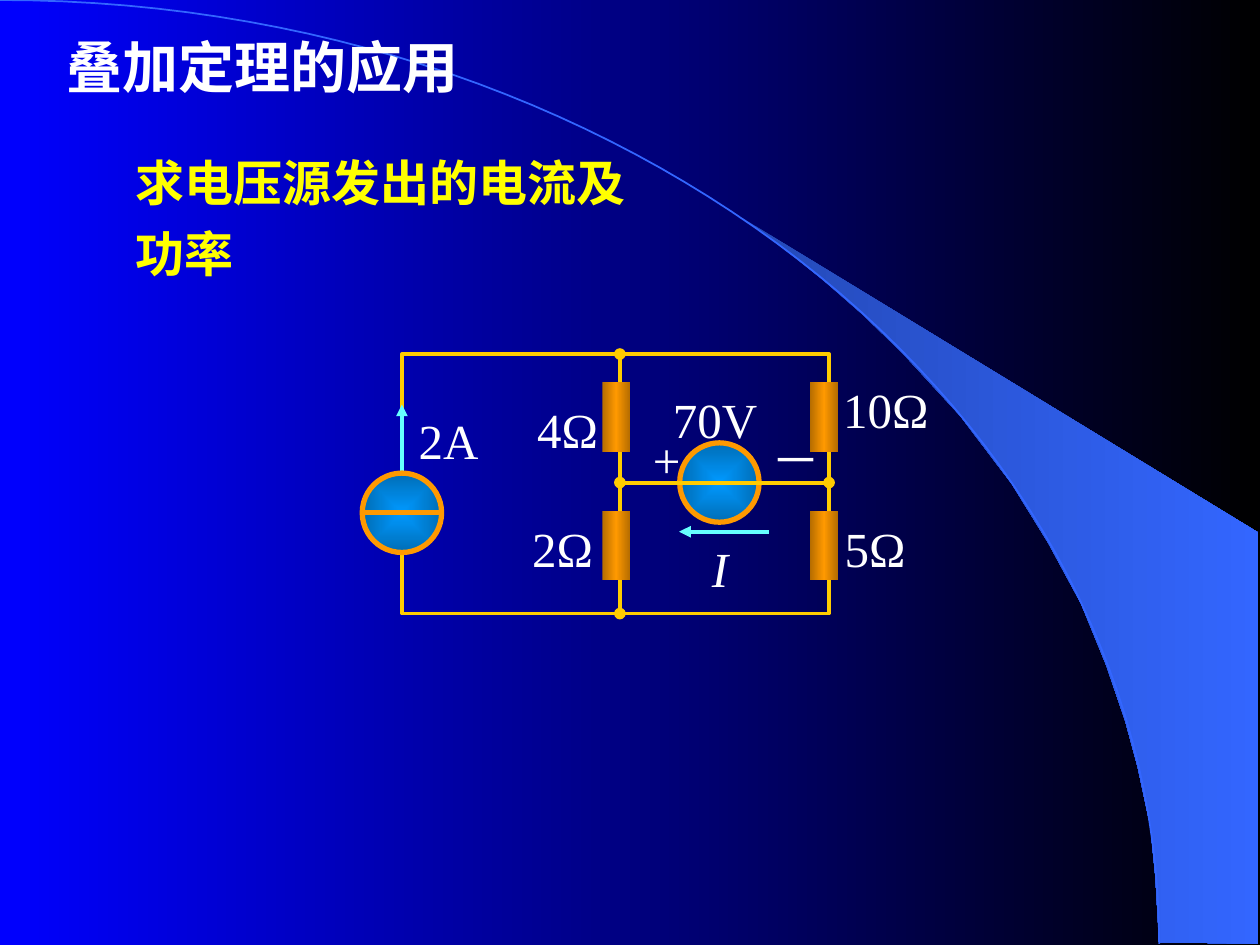
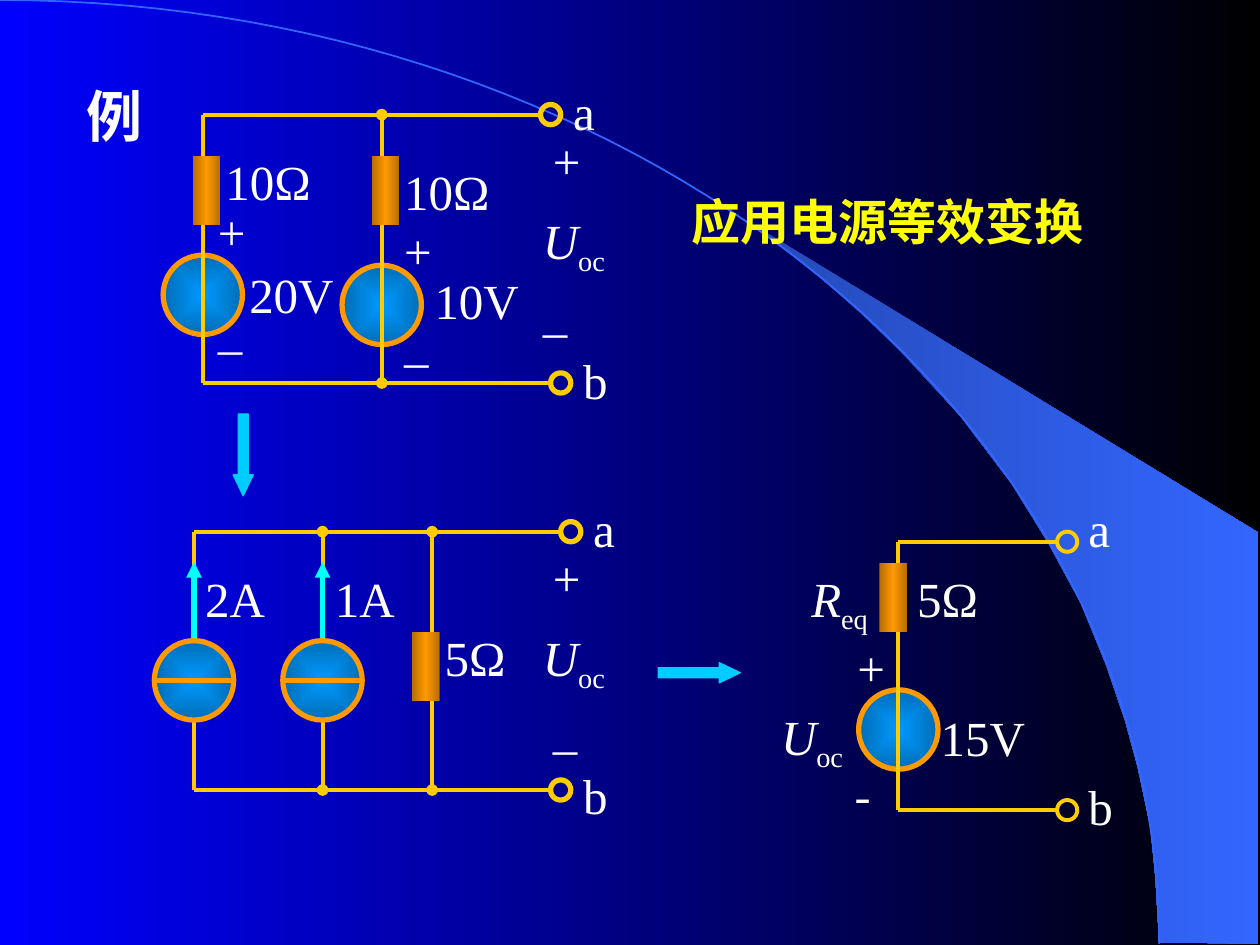
"""Build two slides with circuit diagrams on superposition and source conversion."""
from dataclasses import dataclass

from lxml import etree
from pptx import Presentation
from pptx.dml.color import RGBColor
from pptx.enum.shapes import MSO_CONNECTOR, MSO_SHAPE
from pptx.enum.text import MSO_ANCHOR, PP_ALIGN
from pptx.oxml.ns import nsdecls, qn
from pptx.oxml import parse_xml
from pptx.slide import Slide
from pptx.util import Inches, Pt

STRAIGHT = MSO_CONNECTOR.STRAIGHT
OVAL, RECT, ARROW = MSO_SHAPE.OVAL, MSO_SHAPE.RECTANGLE, MSO_SHAPE.RIGHT_ARROW
LEFT, CENTER = PP_ALIGN.LEFT, PP_ALIGN.CENTER
TOP, MIDDLE = MSO_ANCHOR.TOP, MSO_ANCHOR.MIDDLE
SERIF, SANS, CJK = "Times New Roman", "Arial", "Noto Sans CJK SC"
LABEL_H = 0.57

COLORS = {
    "bg_start": "0000FF", "bg_end": "000000",
    "fan_start": "2449B6", "fan_end": "3366FF",
    "white": "FFFFFF", "yellow": "FFFF00",
    "wire": "FFCC00", "rim": "FF9900", "rust": "B66D00",
    "core": "0099FF", "edge": "006DB6",
    "pale_cyan": "66FFFF", "cyan": "00FFFF", "sky": "00CCFF",
}
FAN = [(9.2, 7.48), (9.99, 7.49), (9.99, 4.23), (5.89, 1.73), (6.24, 1.99),
       (6.53, 2.22), (6.85, 2.5), (7.16, 2.8), (7.62, 3.3), (8.03, 3.84),
       (8.32, 4.31), (8.58, 4.79), (8.78, 5.28), (8.93, 5.72), (9.03, 6.09),
       (9.13, 6.56), (9.17, 6.96), (9.2, 7.48)]
ARC = [(0, 0), (5.08, 0), (9.2, 3.35), (9.2, 7.49)]


def rgb(name):
    """Return the named colour."""
    return RGBColor.from_string(COLORS[name])


def set_gradient(fill, parent, names, radial=False):
    """Replace a fill under parent by evenly spaced gradient stops."""
    fill.background()
    stops = "".join(
        f'<a:gs pos="{100000 * i // (len(names) - 1)}"><a:srgbClr val="{COLORS[n]}"/></a:gs>'
        for i, n in enumerate(names))
    shade = ('<a:path path="rect"><a:fillToRect l="50000" t="50000" r="50000" b="50000"/></a:path>'
             if radial else '<a:lin ang="0" scaled="1"/>')
    old = parent.find(".//" + qn("a:noFill"))
    old.getparent().replace(old, parse_xml(
        f'<a:gradFill {nsdecls("a")} rotWithShape="1"><a:gsLst>{stops}</a:gsLst>{shade}</a:gradFill>'))


def set_line(line, color, weight):
    """Give a line its colour and weight."""
    line.color.rgb = rgb(color)
    line.width = Pt(weight)


def add_outline(s, points, close):
    """Add a freeform through the points, given in inches."""
    points = [(Inches(x), Inches(y)) for x, y in points]
    builder = s.shapes.build_freeform(*points[0], scale=1.0)
    builder.add_line_segments(points[1:], close=close)
    sp = builder.convert_to_shape()
    sp.shadow.inherit = False
    return sp


def bezier(controls, steps=60):
    """Return points along a cubic Bezier curve."""
    points = []
    for i in range(steps + 1):
        t = i / steps
        weights = ((1 - t) ** 3, 3 * t * (1 - t) ** 2, 3 * t * t * (1 - t), t ** 3)
        points.append(tuple(sum(w * c[k] for w, c in zip(weights, controls)) for k in (0, 1)))
    return points


def add_backdrop(layout, s):
    """Draw the gradient, fan and arc and keep them on the layout."""
    set_gradient(layout.background.fill, layout._element, ["bg_start", "bg_end"])
    fan = add_outline(s, FAN, True)
    set_gradient(fan.fill, fan._element.spPr, ["fan_start", "fan_end"])
    fan.line.fill.background()
    arc = add_outline(s, bezier(ARC), False)
    arc.fill.background()
    set_line(arc.line, "fan_end", 1)
    for sp in (fan, arc):
        layout.shapes._spTree.append(sp._element)


def add_text(s, box, text, size=28, color="white", font=SERIF, bold=False,
             align=LEFT, anchor=TOP, spacing=None):
    """Add one paragraph; an underscore splits an italic symbol from its subscript."""
    tf = s.shapes.add_textbox(*map(Inches, box)).text_frame
    tf.word_wrap = True
    tf.vertical_anchor = anchor
    tf.margin_left = Inches(0.1 if align == LEFT else 0)
    tf.margin_right = 0
    p = tf.paragraphs[0]
    p.alignment = align
    p.line_spacing = spacing
    symbol, _, subscript = text.partition("_")
    for part in filter(None, (symbol, subscript)):
        r = p.add_run()
        r.text = part
        r.font.size, r.font.name, r.font.bold = Pt(size), font, bold
        r.font.color.rgb = rgb(color)
        r.font.italic = part is symbol and (bool(subscript) or symbol == "I")
        props = r._r.get_or_add_rPr()
        etree.SubElement(props, qn("a:ea"), typeface=CJK)
        if part is subscript:
            props.set("baseline", "-25000")


def add_block_arrow(s, x, y, rotation=0):
    """Add a step arrow centred on a point."""
    w, h = 0.65, 0.16
    sp = s.shapes.add_shape(ARROW, *map(Inches, (x - w / 2, y - h / 2, w, h)))
    sp.adjustments[0], sp.adjustments[1] = 0.5, 1.04
    sp.rotation = rotation
    sp.shadow.inherit = False
    sp.fill.solid()
    sp.fill.fore_color.rgb = rgb("sky")
    set_line(sp.line, "sky", 0.75)


@dataclass
class Circuit:
    """A circuit whose parts are placed relative to its top left node."""
    s: Slide
    x: float
    y: float

    def shape(self, kind, cx, cy, w, h):
        """Add an unfilled shape centred on a point."""
        box = (self.x + cx - w / 2, self.y + cy - h / 2, w, h)
        sp = self.s.shapes.add_shape(kind, *map(Inches, box))
        sp.shadow.inherit = False
        sp.fill.background()
        return sp

    def line(self, x1, y1, x2, y2, color="wire", weight=2.25, head=None, tail=None):
        """Add a straight line with optional end marks."""
        ends = (self.x + x1, self.y + y1, self.x + x2, self.y + y2)
        c = self.s.shapes.add_connector(STRAIGHT, *map(Inches, ends))
        set_line(c.line, color, weight)
        ln = c.line._get_or_add_ln()
        for tag, mark in (("a:headEnd", head), ("a:tailEnd", tail)):
            if mark:
                etree.SubElement(ln, qn(tag), type=mark)
        etree.SubElement(c._element.spPr, qn("a:effectLst"))

    def branch(self, x1, y1, x2, y2):
        """Add a wire with a node dot at both ends."""
        self.line(x1, y1, x2, y2, head="oval", tail="oval")

    def source(self, cx, cy):
        """Add the round body of a source."""
        sp = self.shape(OVAL, cx, cy, 0.63, 0.63)
        set_gradient(sp.fill, sp._element.spPr, ["core", "edge"], radial=True)
        set_line(sp.line, "rim", 3)

    def current_source(self, cx, cy):
        """Add a source crossed by a bar."""
        self.source(cx, cy)
        self.line(cx - 0.31, cy, cx + 0.31, cy, "rim", 3)

    def resistor(self, cx, cy):
        """Add an upright resistor."""
        sp = self.shape(RECT, cx, cy, 0.22, 0.55)
        set_gradient(sp.fill, sp._element.spPr, ["rust", "rim", "rust"])
        sp.line.fill.background()

    def terminal(self, cx, cy, weight=3):
        """Add an open terminal ring."""
        set_line(self.shape(OVAL, cx, cy, 0.16, 0.16).line, "wire", weight)

    def labels(self, items):
        """Add left-aligned labels from (text, x, y)."""
        for text, x, y in items:
            add_text(self.s, (self.x + x, self.y + y, 0.95, LABEL_H), text)

    def centred_labels(self, items):
        """Add centred labels from (text, x, y, width)."""
        for text, x, y, w in items:
            add_text(self.s, (self.x + x, self.y + y, w, LABEL_H), text,
                     font=CJK if text == "-" else SERIF, align=CENTER, anchor=MIDDLE)


def add_bridge_circuit(s, x, y):
    """Draw the current source, four resistors and the bridging voltage source."""
    c = Circuit(s, x, y)
    w, h, mid_x, mid_y = 3.39, 2.06, 1.73, 1.02
    c.source(2.52, mid_y)
    set_line(c.shape(RECT, w / 2, h / 2, w, h).line, "wire", 2.25)
    c.branch(mid_x, 0, mid_x, h)
    c.branch(mid_x, mid_y, w, mid_y)
    c.centred_labels([
        ("4Ω", 0.9, 0.31, 0.83), ("2A", 0.03, 0.4, 0.68), ("70V", 2.05, 0.23, 0.87),
        ("10Ω", 3.27, 0.15, 1.14), ("5Ω", 3.34, 1.25, 0.83), ("2Ω", 0.86, 1.25, 0.83),
        ("+", 1.89, 0.55, 0.42), ("－", 2.83, 0.55, 0.59), ("I", 2.36, 1.41, 0.33)])
    c.line(2.91, 1.41, 2.2, 1.41, "pale_cyan", tail="triangle")
    c.line(0, 0.95, 0, 0.4, "pale_cyan", tail="triangle")
    for rx in (1.7, 3.35):
        for ry in (0.5, 1.52):
            c.resistor(rx, ry)
    c.current_source(0, 1.26)


def add_voltage_circuit(s, x, y):
    """Draw two voltage sources with series resistors."""
    c = Circuit(s, x, y)
    bottom, second = 2.13, 1.42
    c.source(0, 1.43)
    c.source(second, 1.51)
    c.labels([
        ("10Ω", 0.08, 0.24), ("+", 0.02, 0.64), ("20V", 0.27, 1.14), ("–", 0.02, 1.55),
        ("10Ω", 1.5, 0.32), ("+", 1.5, 0.79), ("10V", 1.74, 1.19), ("–", 1.5, 1.66),
        ("+", 2.68, 0.08), ("U_oc", 2.6, 0.71), ("–", 2.6, 1.42),
        ("a", 2.84, -0.31), ("b", 2.92, 1.82)])
    c.line(0, 0, 2.68, 0)
    c.line(0, bottom, 2.76, bottom)
    c.line(0, 0, 0, bottom)
    c.branch(second, 0, second, bottom)
    c.terminal(2.76, 0)
    c.terminal(2.84, bottom)
    for rx in (0.03, 1.45):
        c.resistor(rx, 0.6)


def add_current_circuit(s, x, y):
    """Draw two current sources in parallel with one resistor."""
    c = Circuit(s, x, y)
    bottom, second, third = 2.05, 1.02, 1.89
    c.labels([
        ("2A", -0.01, 0.24), ("1A", second, 0.24), ("5Ω", third, 0.71),
        ("+", 2.75, 0.08), ("U_oc", 2.67, 0.71), ("–", 2.75, 1.42),
        ("a", 3.07, -0.31), ("b", 2.99, 1.81)])
    c.line(0, 0, 2.91, 0)
    c.line(0, bottom, 2.83, bottom)
    c.line(0, 0, 0, bottom)
    for bx in (second, third):
        c.branch(bx, 0, bx, bottom)
    c.terminal(2.99, 0)
    c.terminal(2.91, bottom)
    for sx in (0, second):
        c.line(sx, 0.87, sx, 0.24, "cyan", 3, tail="triangle")
        c.current_source(sx, 1.18)
    c.resistor(1.84, 1.07)


def add_equivalent_circuit(s, x, y):
    """Draw the single equivalent source and resistor."""
    c = Circuit(s, x, y)
    bottom = 2.13
    c.centred_labels([("5Ω", -0.16, 0.16, 1.1), ("15V", 0.23, 1.26, 0.88),
                      ("+", -0.48, 0.71, 0.53), ("-", -0.48, 1.73, 0.4)])
    c.source(0, 1.49)
    c.line(0, 0, 0, bottom)
    for ty in (0, bottom):
        c.line(0, ty, 1.26, ty)
        c.terminal(1.34, ty, 2.25)
    c.labels([("a", 1.41, -0.39), ("b", 1.41, 1.81),
              ("R_eq", -0.79, 0.16), ("U_oc", -1.03, 1.26)])
    c.resistor(-0.04, 0.44)


def build_superposition(s):
    """Fill the superposition slide."""
    add_text(s, (0.43, 0.21, 3.36, 0.64), "叠加定理的应用", 32, font=CJK, bold=True)
    add_text(s, (0.98, 1.07, 4.25, 1.23), "求电压源发出的电流及功率",
             color="yellow", font=SANS, bold=True, spacing=1.2)
    add_bridge_circuit(s, 3.19, 2.81)


def build_source_conversion(s):
    """Fill the source conversion slide."""
    add_text(s, (0.59, 0.6, 0.79, 0.63), "例", 32, bold=True)
    add_block_arrow(s, 1.93, 3.61, 90)
    add_voltage_circuit(s, 1.61, 0.91)
    add_current_circuit(s, 1.54, 4.22)
    add_equivalent_circuit(s, 7.13, 4.3)
    add_block_arrow(s, 5.55, 5.34)
    add_text(s, (5.39, 1.47, 3.58, LABEL_H), "应用电源等效变换",
             color="yellow", font=CJK, bold=True)


def main():
    """Build and save the presentation."""
    prs = Presentation()
    prs.slide_width, prs.slide_height = Inches(10), Inches(7.5)
    layout = prs.slide_layouts[6]
    first, second = (prs.slides.add_slide(layout) for _ in range(2))
    add_backdrop(layout, first)
    build_superposition(first)
    build_source_conversion(second)
    prs.save("out.pptx")


if __name__ == "__main__":
    main()
